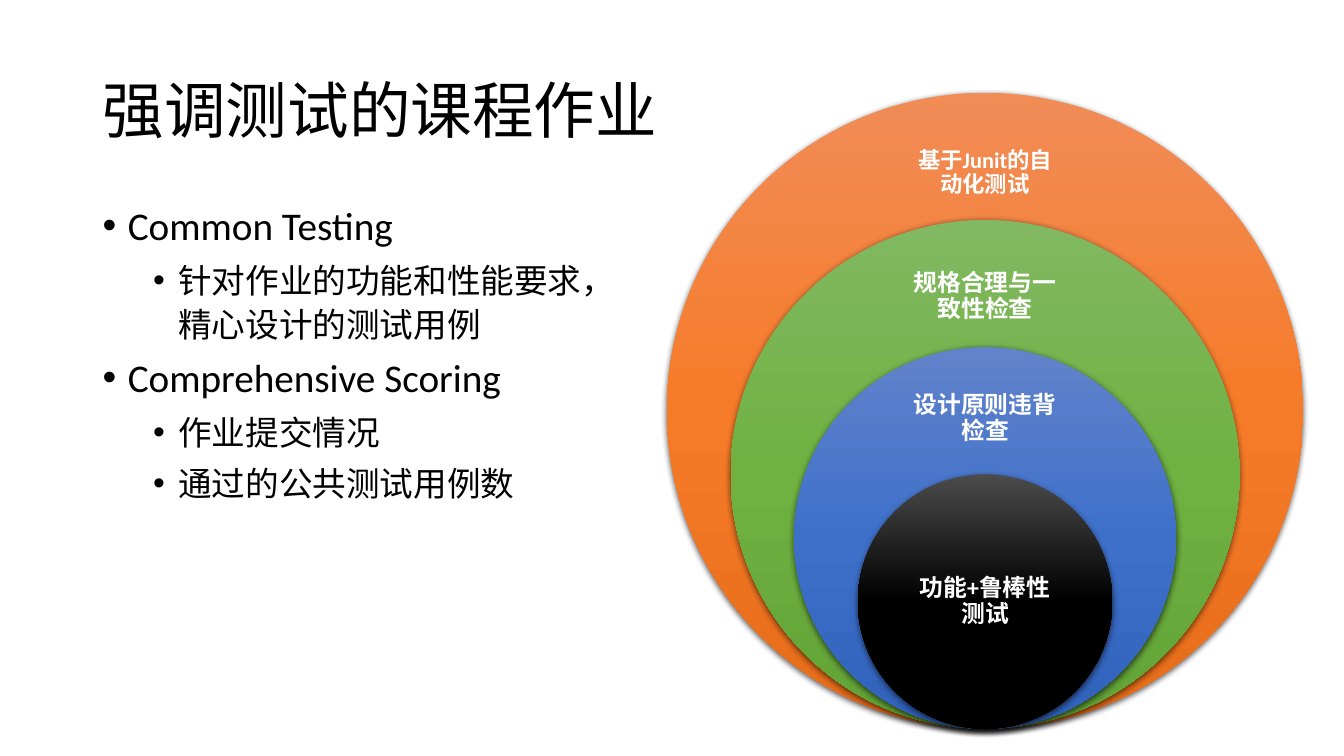
import copy

import pptx
import pptx.dml.color
import pptx.enum.shapes
import pptx.enum.text
import pptx.oxml
import pptx.oxml.ns
import pptx.util

Inches, Pt = pptx.util.Inches, pptx.util.Pt
ALIGN, ANCHOR = pptx.enum.text.PP_ALIGN, pptx.enum.text.MSO_ANCHOR
qn, nsdecls = pptx.oxml.ns.qn, pptx.oxml.ns.nsdecls

COLORS = {
    "text": "000000",
    "label": "FFFFFF",
    "orange": ("F18C57", "F67B28", "E56C19"),
    "green": ("81B861", "6FB242", "62A336"),
    "blue": ("6183CB", "3E70CA", "3062BB"),
    "black": ("4B4B4B", "000000", "000000"),
}
OUTLINE = [
    (0, "Common Testing"),
    (1, "针对作业的功能和性能要求，精心设计的测试用例"),
    (0, "Comprehensive Scoring"),
    (1, "作业提交情况"),
    (1, "通过的公共测试用例数"),
]
# colour, label, label top, label height, label size
RINGS = [
    ("orange", "基于Junit的自动化测试", 1.24, 0.95, 16),
    ("green", "规格合理与一致性检查", 2.49, 0.91, 17),
    ("blue", "设计原则违背检查", 3.73, 0.85, 17),
    ("black", "功能+鲁棒性测试", 5.34, 1.26, 17),
]
DIAMETER, CENTER_X, BOTTOM = 6.31, 9.77, 7.23
LABEL_WIDTH = 1.76


def rgb(value):
    return pptx.dml.color.RGBColor.from_string(value)


def write(p, text, size, font="Calibri", color="text", bold=False,
          align=ALIGN.LEFT, spacing=0.9, before=0):
    p.alignment, p.line_spacing, p.space_before = align, spacing, Pt(before)
    r = p.add_run()
    r.text = text
    r.font.name, r.font.size, r.font.bold = font, Pt(size), bold
    r.font.color.rgb = rgb(COLORS[color])


class Slide:
    def __init__(self, prs):
        self.s = prs.slides.add_slide(prs.slide_layouts[6])

    def frame(self, x, y, w, h, anchor=ANCHOR.TOP, inset=None, parent=None):
        """Add a wrapping text box and return its text frame."""
        shapes = (parent or self.s).shapes
        tf = shapes.add_textbox(*map(Inches, (x, y, w, h))).text_frame
        tf.word_wrap, tf.vertical_anchor = True, anchor
        if inset is not None:
            tf.margin_left = tf.margin_right = Inches(inset)
            tf.margin_top = tf.margin_bottom = Inches(inset)
        return tf

    def title(self, text):
        tf = self.frame(0.92, 0.4, 11.5, 1.45, ANCHOR.MIDDLE)
        write(tf.paragraphs[0], text, 44)

    def outline(self, items):
        tf = self.frame(0.92, 2, 5.36, 5.24)
        for i, (level, text) in enumerate(items):
            p = tf.add_paragraph() if i else tf.paragraphs[0]
            p.level = level
            write(p, text, (28, 24)[level], spacing=(0.9, 1.1)[level],
                  before=(10, 5)[level])
            pPr = p._p.get_or_add_pPr()
            pPr.set("marL", str(Inches(0.25 + 0.5 * level)))
            pPr.set("indent", str(-Inches(0.25)))
            for xml in ('<a:buFont %s typeface="Arial"/>', '<a:buChar %s char="•"/>'):
                pPr.append(pptx.oxml.parse_xml(xml % nsdecls("a")))

    def disc(self, group, x, y, d, colors):
        """Add a circle with a vertical three-colour gradient and a soft shadow."""
        sp = group.shapes.add_shape(pptx.enum.shapes.MSO_SHAPE.OVAL,
                                    *map(Inches, (x, y, d, d)))
        sp.line.fill.background()
        sp.fill.gradient()
        sp.fill.gradient_angle = 270
        stops = sp._element.spPr.find(".//" + qn("a:gsLst"))
        stops.insert(1, copy.deepcopy(stops[0]))
        for i, (stop, color) in enumerate(zip(sp.fill.gradient_stops, colors)):
            stop.position, stop.color.rgb = i / 2, rgb(color)
        sp.shadow.inherit = False
        sp._element.spPr.find(qn("a:effectLst")).append(pptx.oxml.parse_xml(
            f'<a:outerShdw {nsdecls("a")} blurRad="{Pt(4.5)}" dist="{Pt(1.5)}" '
            'dir="5400000" algn="ctr" rotWithShape="0"><a:srgbClr val="000000">'
            '<a:alpha val="63000"/></a:srgbClr></a:outerShdw>'))

    def rings(self, items):
        """Nest circles that share their lowest point, each a fifth smaller."""
        group = self.s.shapes.add_group_shape()
        for i, (color, text, top, height, size) in enumerate(items):
            d = DIAMETER * (1 - 0.2 * i)
            self.disc(group, CENTER_X - d / 2, BOTTOM - d, d, COLORS[color])
            tf = self.frame(CENTER_X - LABEL_WIDTH / 2, top, LABEL_WIDTH, height,
                            ANCHOR.MIDDLE, 0.12 if size == 16 else 0.13, group)
            write(tf.paragraphs[0], text, size, color="label", bold=True,
                  align=ALIGN.CENTER)


def main():
    prs = pptx.Presentation()
    prs.slide_width, prs.slide_height = Inches(13.33), Inches(7.5)
    slide = Slide(prs)
    slide.title("强调测试的课程作业")
    slide.outline(OUTLINE)
    slide.rings(RINGS)
    prs.save("out.pptx")


if __name__ == "__main__":
    main()
